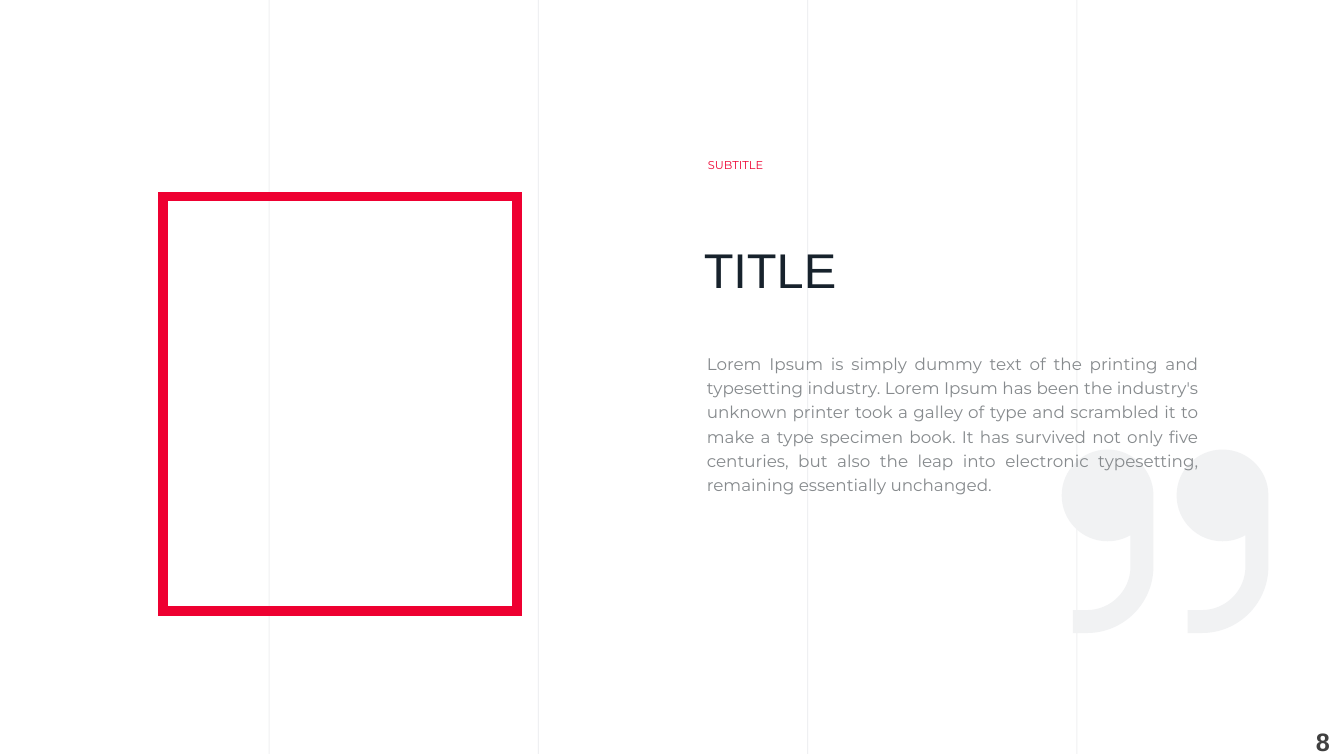
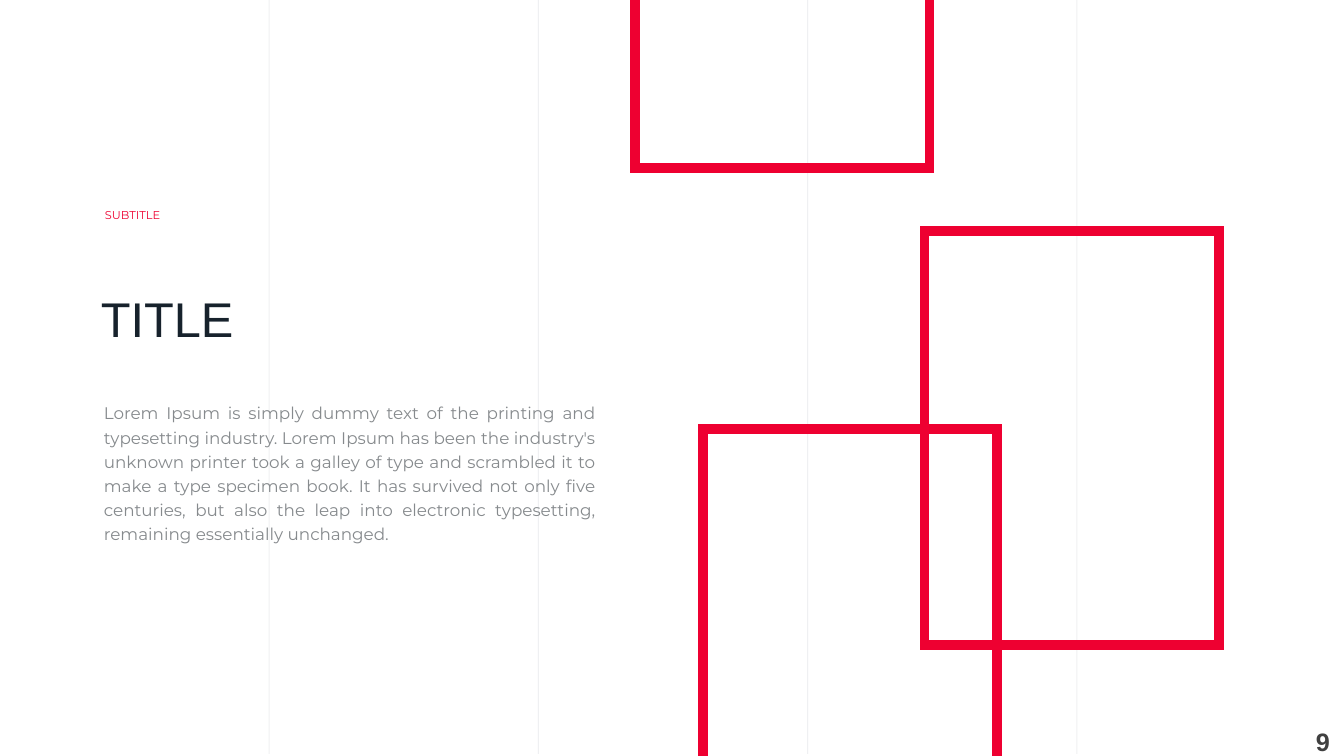
import math
from pptx import Presentation
from pptx import util as u
from pptx.dml import color
from pptx.enum import shapes, text
from pptx.oxml import ns
from lxml import etree

# Shared style; 100 px to the inch
RED, NAVY, GREY = "EE0031", "17222C", "868A8D"
GUIDE, QUOTE, NUMBER = "3C4C5B", "F1F2F3", "404040"
SANS, BODY = "Arial", "Montserrat"
WIDTH, HEIGHT = 1333, 750
FRAME_HEIGHT = 411
LOREM = (
    "Lorem Ipsum is simply dummy text of the printing and typesetting industry. "
    "Lorem Ipsum has been the industry's unknown printer took a galley of type and "
    "scrambled it to make a type specimen book. It has survived not only five "
    "centuries, but also the leap into electronic typesetting, remaining "
    "essentially unchanged."
)


def px(n):
    return u.Emu(round(n * 9144))


def rgb(value):
    return color.RGBColor.from_string(value)


def sub(parent, tag, **attrs):
    return etree.SubElement(parent, ns.qn(tag), attrs)


# Text
def write(sp, box, content, size, fill, font=BODY, bold=False, raised=0,
          align=text.PP_ALIGN.LEFT, anchor=text.MSO_ANCHOR.MIDDLE,
          inset=3, spacing=None, grow=False):
    sp.left, sp.top, sp.width, sp.height = map(px, box)
    tf = sp.text_frame
    tf.word_wrap = True
    tf.auto_size = (text.MSO_AUTO_SIZE.SHAPE_TO_FIT_TEXT if grow
                    else text.MSO_AUTO_SIZE.NONE)
    tf.vertical_anchor = anchor
    tf.margin_left = tf.margin_right = tf.margin_top = tf.margin_bottom = px(inset)
    p = tf.paragraphs[0]
    p.alignment = align
    p.line_spacing = spacing
    r = p.add_run()
    r.text = content
    r.font.size, r.font.name, r.font.bold = u.Pt(size), font, bold
    r.font.color.rgb = rgb(fill)
    if raised:
        r.font._element.set("baseline", str(raised * 1000))


def add_text(slide, box, content, **style):
    write(slide.shapes.add_textbox(0, 0, 0, 0), box, content, **style)


def add_copy(slide, x, y):
    """Title, subtitle and body, placed from the subtitle's corner."""
    write(slide.shapes.title, (x - 4, y + 67, 544, 73), "TITLE", size=60,
          fill=NAVY, font=SANS, raised=12, grow=True)
    add_text(slide, (x, y, 410, 21), "SUBTITLE", size=14, fill=RED,
             raised=50, grow=True)
    add_text(slide, (x, y + 186, 492, 237), LOREM, size=12, fill=GREY,
             align=text.PP_ALIGN.JUSTIFY, anchor=text.MSO_ANCHOR.TOP,
             inset=2, spacing=1.2)


# Shapes
def add_frame(slide, x, y, w):
    sp = slide.shapes.add_shape(shapes.MSO_SHAPE.RECTANGLE,
                                px(x), px(y), px(w), px(FRAME_HEIGHT))
    sp.shadow.inherit = False
    sp.fill.background()
    sp.line.color.rgb = rgb(RED)
    sp.line.width = u.Pt(7)
    sub(sp.line._ln, "a:miter", lim="800000")


def arc(cx, cy, radius, start, end):
    """Two control points and the end point of one Bezier arc."""
    a, b = math.radians(start), math.radians(end)
    k = 4 / 3 * math.tan((b - a) / 4)
    return [(cx + radius * (math.cos(t) + s * math.sin(t)),
             cy + radius * (math.sin(t) - s * math.cos(t)))
            for t, s in ((a, -k), (b, k), (b, 0))]


def quote_mark(x, y, width=91, height=182):
    """Segments of one closing mark: a round head with a curved tail."""
    head = width / 2
    stroke = head / 2
    tail_x, outer = x + 25, width - 25
    tail_y, inner = y + height - outer, outer - stroke
    cx, cy = x + head, y + head
    return [[(x + 11, y + height)],
            [(x + 11, y + height - stroke)],
            [(tail_x, y + height - stroke)],
            arc(tail_x, tail_y, inner, 90, 0),
            [(cx + stroke, cy + head * math.sin(math.radians(60)))],
            *(arc(cx, cy, head, a, b)
              for a, b in ((60, 90), (90, 180), (180, 270), (270, 360))),
            [(x + width, tail_y)],
            arc(tail_x, tail_y, outer, 0, 90)]


def add_quote(slide, x, y, pitch):
    marks = [[[(px(a), px(b)) for a, b in segment]
              for segment in quote_mark(x + i * pitch, y)] for i in range(2)]
    builder = slide.shapes.build_freeform(*marks[0][0][0])
    for i, mark in enumerate(marks):
        if i:
            builder.move_to(*mark[0][0])
        builder.add_line_segments([s[-1] for s in mark[1:]], close=True)
    sp = builder.convert_to_shape()
    # Bend the straight segments that stand for arcs
    lines = list(sp._element.iter(ns.qn("a:lnTo")))
    segments = [s for mark in marks for s in mark[1:]]
    for line, segment in zip(lines, segments):
        if len(segment) == 3:
            curve = etree.Element(ns.qn("a:cubicBezTo"))
            for a, b in segment:
                sub(curve, "a:pt", x=str(a - sp.left), y=str(b - sp.top))
            line.getparent().replace(line, curve)
    sp.shadow.inherit = False
    sp.fill.solid()
    sp.fill.fore_color.rgb = rgb(QUOTE)
    sp.line.fill.background()


# Faint column guides, moved to the layout so every slide shows them
def add_guides(slide, layout):
    for i in range(1, 5):
        x = px(i * 267)
        line = slide.shapes.add_connector(shapes.MSO_CONNECTOR.STRAIGHT,
                                          x, px(748), x, 0)
        line.line.color.rgb = rgb(GUIDE)
        line.line.width = u.Pt(0.75)
        el = line._element
        sub(el.find(".//" + ns.qn("a:srgbClr")), "a:alpha", val="8000")
        sub(el.spPr, "a:effectLst")
        el.find(".//" + ns.qn("p:cNvPr")).set("id", str(100 + i))
        layout.shapes._spTree.append(el)


def add_number(slide, number):
    add_text(slide, (1261, 723, 58, 25), str(number), size=18, fill=NUMBER,
             font=SANS, bold=True, align=text.PP_ALIGN.RIGHT, inset=0)


def main():
    prs = Presentation()
    prs.slide_width, prs.slide_height = px(WIDTH), px(HEIGHT)
    layout = prs.slide_layouts[5]

    # Quote slide
    slide = prs.slides.add_slide(layout)
    add_guides(slide, layout)
    add_frame(slide, 162, 195, 351)
    add_quote(slide, 1053, 446, 114)
    add_copy(slide, 699, 159)
    add_number(slide, 8)

    # Three frames slide
    slide = prs.slides.add_slide(layout)
    for x, y in ((917, 229), (630, -244), (697, 426)):
        add_frame(slide, x, y, 292)
    add_copy(slide, 101, 208)
    add_number(slide, 9)

    prs.save("out.pptx")


if __name__ == "__main__":
    main()
